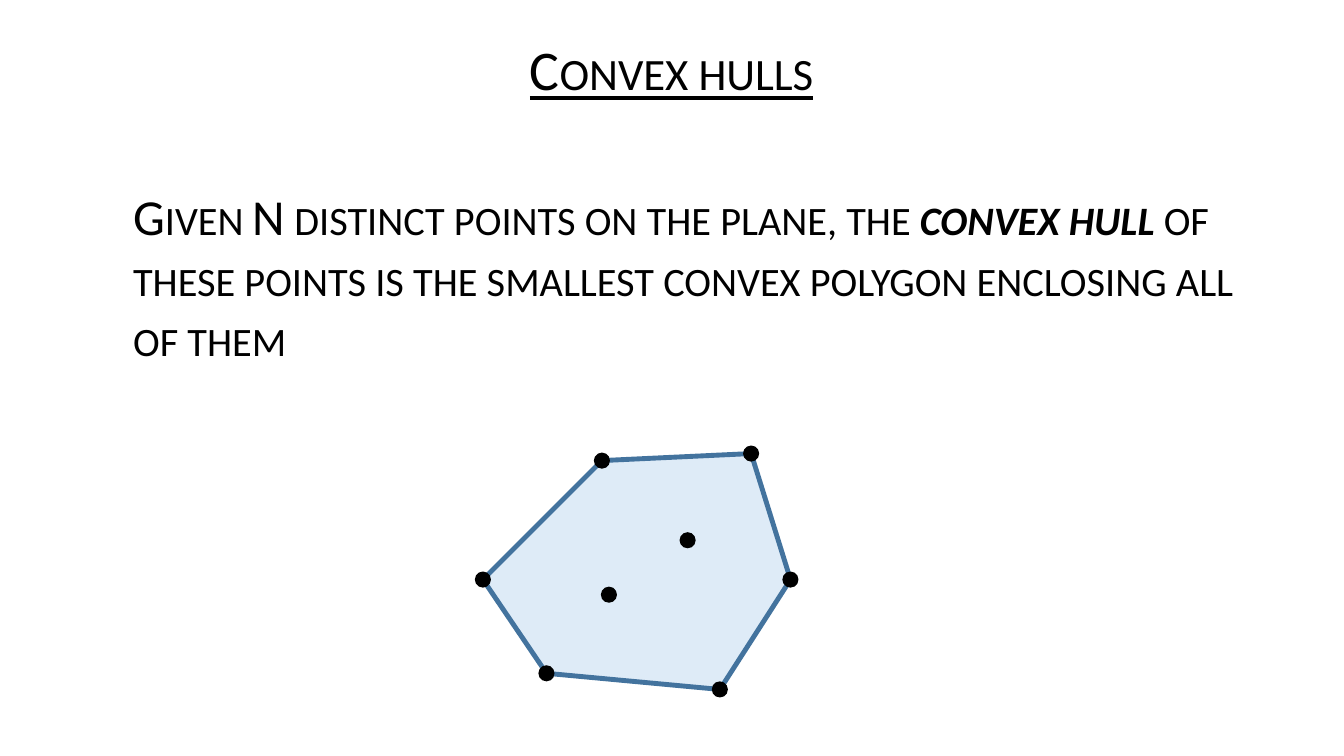
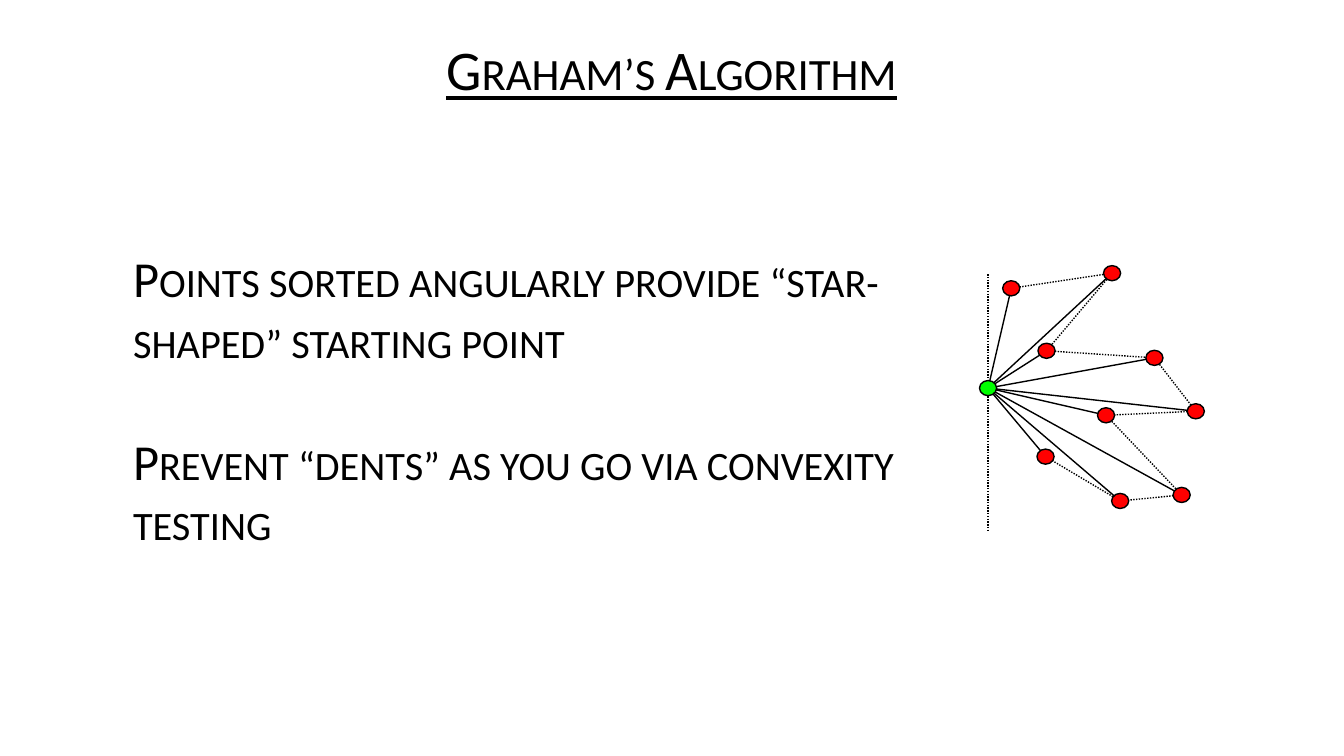
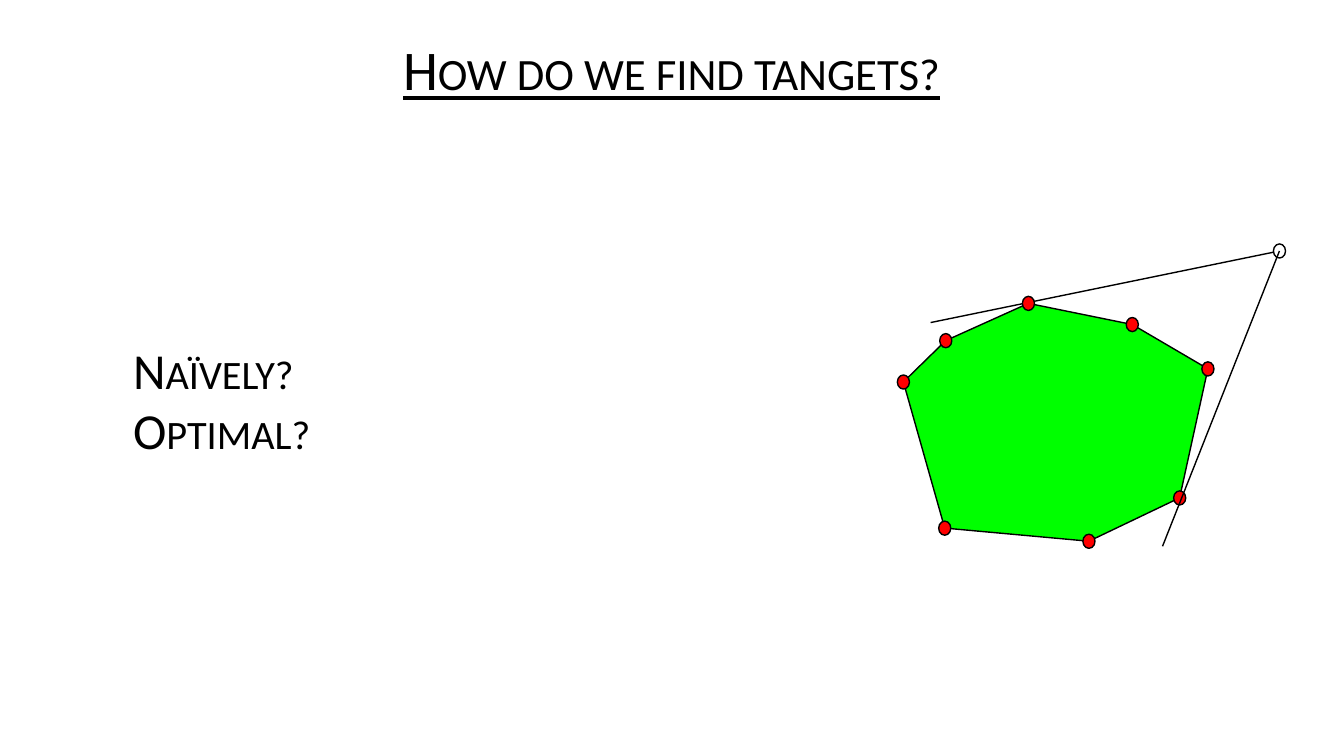
from itertools import pairwise

from pptx import Presentation
from pptx.dml.color import RGBColor
from pptx.enum.dml import MSO_LINE
from pptx.enum.shapes import MSO_CONNECTOR, MSO_SHAPE
from pptx.enum.text import MSO_ANCHOR, PP_ALIGN
from pptx.oxml.ns import qn
from pptx.util import Inches, Pt
from lxml import etree

OVAL = MSO_SHAPE.OVAL
STRAIGHT = MSO_CONNECTOR.STRAIGHT
MIDDLE = MSO_ANCHOR.MIDDLE
CENTER = PP_ALIGN.CENTER
DOTTED = MSO_LINE.ROUND_DOT

FONT = "Calibri"
BLACK, WHITE = "000000", "FFFFFF"
RED, GREEN = "FF0000", "00FF00"
PALE, BLUE = "DEEBF7", "43739E"
TITLE = (1.74, 0.29, 9.84, 0.85)
ROW = 0.61  # height of one line of body text


def color(code):
    return RGBColor.from_string(code)


def shift(box, points):
    """Turn offsets inside a box into slide positions."""
    return [(box[0] + x, box[1] + y) for x, y in points]


# Text
def frame(slide, box):
    text = slide.shapes.add_textbox(*map(Inches, box)).text_frame
    text.word_wrap = True
    text.vertical_anchor = MIDDLE
    return text


def style(para, size):
    font = para.font
    font.name, font.size = FONT, Pt(size)
    font.color.rgb = color(BLACK)
    para._p.pPr.find(qn("a:defRPr")).set("cap", "small")


def page(deck, title):
    slide = deck.slides.add_slide(deck.slide_layouts[6])
    para = frame(slide, TITLE).paragraphs[0]
    para.text = title
    para.alignment = CENTER
    para.line_spacing = 0.9
    para.space_before = Pt(10)
    style(para, 40)
    para.font.underline = True
    return slide


def body(slide, width, paras, gap=0, lift=0):
    """Each paragraph is a list of runs; every second run is stressed."""
    text = frame(slide, (0.72, 1.32, width, 5.28))
    text.margin_left = Inches(0.6)
    text.margin_bottom = Inches(0.05 + lift)
    for i, runs in enumerate(paras):
        para = text.add_paragraph() if i else text.paragraphs[0]
        style(para, 36)
        if i and gap:
            para.space_before = Inches(gap)
        for j, words in enumerate(runs):
            run = para.add_run()
            run.text = words
            if j % 2:
                run.font.bold = run.font.italic = True


# Drawing
def pen(line, code, width):
    line.color.rgb = color(code)
    line.width = Pt(width)


def dot(slide, spot, fill, wide, high, edge=True):
    x, y = spot
    shape = slide.shapes.add_shape(OVAL, Inches(x - wide / 2), Inches(y - high / 2),
                                   Inches(wide), Inches(high))
    shape.shadow.inherit = False
    shape.fill.solid()
    shape.fill.fore_color.rgb = color(fill)
    if edge:
        pen(shape.line, BLACK, 1)
    else:
        shape.line.fill.background()


def line(slide, start, end, dotted=False):
    link = slide.shapes.add_connector(STRAIGHT, *map(Inches, (*start, *end)))
    etree.SubElement(link._element.spPr, qn("a:effectLst"))
    pen(link.line, BLACK, 1)
    if dotted:
        link.line.dash_style = DOTTED


def hull(slide, spots, fill, edge, width):
    first, *rest = [(Inches(x), Inches(y)) for x, y in spots]
    build = slide.shapes.build_freeform(*first)
    build.add_line_segments(rest, close=True)
    shape = build.convert_to_shape()
    shape.shadow.inherit = False
    shape.fill.solid()
    shape.fill.fore_color.rgb = color(fill)
    pen(shape.line, edge, width)


# Figures
def convex(slide, box):
    rim = shift(box, [(1.18, 0.07), (2.66, 0), (3.05, 1.25),
                      (2.35, 2.34), (0.63, 2.18), (0, 1.25)])
    inner = shift(box, [(1.25, 1.4), (2.03, 0.86)])
    hull(slide, rim, PALE, BLUE, 3.5)
    for spot in rim + inner:
        dot(slide, spot, BLACK, 0.16, 0.16, edge=False)


def star(slide, box):
    hub, top, foot = shift(box, [(0, 1.13), (0, 0), (0, box[3])])
    tips = shift(box, [(0.23, 0.14), (1.23, -0.01), (0.58, 0.76),
                       (1.65, 0.83), (2.06, 1.36), (1.17, 1.4),
                       (1.92, 2.19), (1.31, 2.25), (0.57, 1.81)])
    for start, end in pairwise(tips):
        line(slide, start, end, dotted=True)
    for tip in tips:
        line(slide, tip, hub)
    line(slide, top, foot, dotted=True)
    for spot in [hub] + tips:
        dot(slide, spot, GREEN if spot == hub else RED, 0.17, 0.15)


def tangent(slide, box):
    rim = shift(box, [(0, 0.79), (0.42, 0.38), (1.24, 0.01), (2.27, 0.22),
                      (3.02, 0.66), (2.74, 1.94), (1.84, 2.37), (0.41, 2.24)])
    eye, left, low = shift(box, [(3.73, -0.51), (0.27, 0.2), (2.57, 2.42)])
    line(slide, left, eye)
    hull(slide, rim, GREEN, BLACK, 1)
    for spot in rim:
        dot(slide, spot, RED, 0.12, 0.14)
    dot(slide, eye, WHITE, 0.12, 0.14)
    line(slide, low, eye)


deck = Presentation()
deck.slide_width, deck.slide_height = Inches(13.33), Inches(7.5)

slide = page(deck, "Convex hulls")
body(slide, 11.89, [["Given N distinct points on the plane, the ", "convex hull ",
                     "of these points is the smallest convex polygon "
                     "enclosing all of them"]], lift=4 * ROW)
convex(slide, (4.79, 4.5, 3.05, 2.34))

slide = page(deck, "Graham’s Algorithm")
body(slide, 8.46, [["Points sorted angularly provide “star-shaped” starting point"],
                   ["Prevent “dents” as you go via convexity testing"]], gap=ROW)
star(slide, (9.8, 2.72, 2.06, 2.56))

slide = page(deck, "How do we find tangets?")
body(slide, 7.62, [["Naïvely?"], ["Optimal?"]])
tangent(slide, (8.96, 3, 3.02, 2.37))

deck.save("out.pptx")
